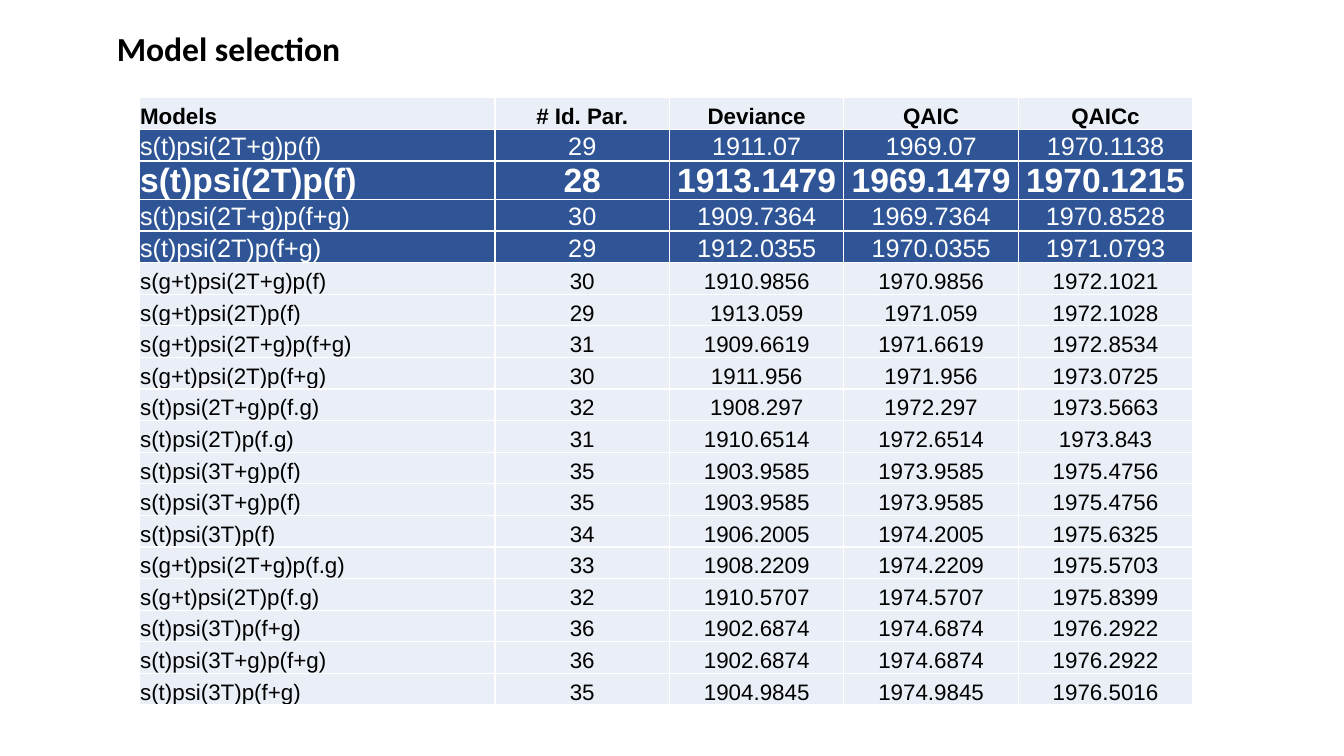
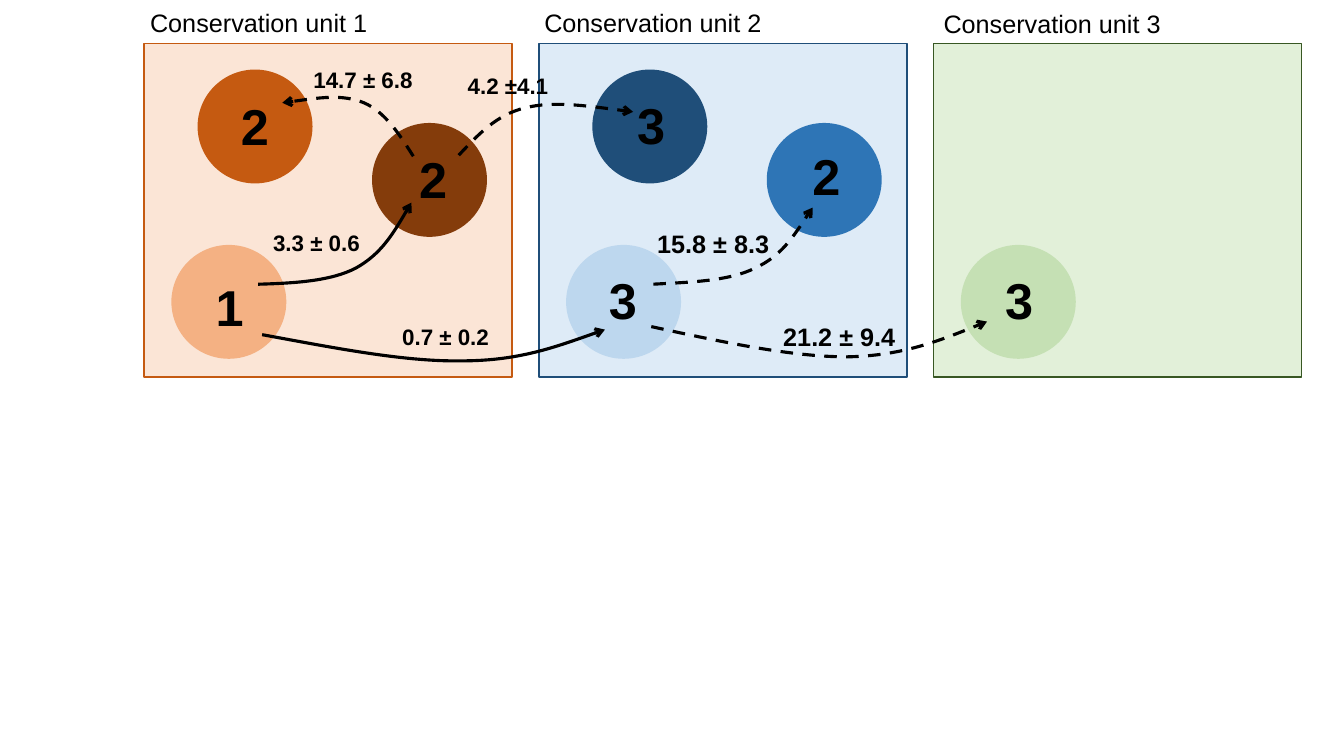
"""Build a model selection table and a diagram of movements between conservation units."""
from dataclasses import dataclass

from lxml import etree
from pptx import Presentation
from pptx.dml.color import RGBColor
from pptx.enum import dml, shapes, text
from pptx.oxml.ns import qn
from pptx.util import Inches, Pt

COLORS = {
    "black": "000000", "white": "FFFFFF", "pale": "EAEFF7", "best": "2F5597",
    "orange_bg": "FBE5D6", "orange_light": "F4B183", "orange": "C55A11", "orange_dark": "843C0B",
    "blue_bg": "DEEBF7", "blue_light": "BDD7EE", "blue": "2E75B6", "blue_dark": "1F4E79",
    "green_bg": "E2F0D9", "green_light": "C5E0B4", "green_dark": "385723",
}
BODY_FONT, TITLE_FONT = "Arial", "Calibri"
Point = tuple[float, float]


@dataclass(frozen=True)
class Label:
    text: str
    x: float
    y: float
    w: float
    h: float = 0.4
    size: int = 18
    bold: bool = True
    font: str = BODY_FONT


@dataclass(frozen=True)
class Unit:
    fill: str
    line: str
    sites: dict[str, str]
    title: Label


@dataclass(frozen=True)
class Movement:
    start: Point
    curves: tuple[Point, ...]
    label: Label
    dashed: bool = True


@dataclass(frozen=True)
class RowStyle:
    size: int = 16
    bold: bool = False
    color: str = "black"
    fill: str = "pale"


HEADER = ("Models", "# Id. Par.", "Deviance", "QAIC", "QAICc")
MODELS = [
    ("s(t)psi(2T+g)p(f)", "29", "1911.07", "1969.07", "1970.1138"),
    ("s(t)psi(2T)p(f)", "28", "1913.1479", "1969.1479", "1970.1215"),
    ("s(t)psi(2T+g)p(f+g)", "30", "1909.7364", "1969.7364", "1970.8528"),
    ("s(t)psi(2T)p(f+g)", "29", "1912.0355", "1970.0355", "1971.0793"),
    ("s(g+t)psi(2T+g)p(f)", "30", "1910.9856", "1970.9856", "1972.1021"),
    ("s(g+t)psi(2T)p(f)", "29", "1913.059", "1971.059", "1972.1028"),
    ("s(g+t)psi(2T+g)p(f+g)", "31", "1909.6619", "1971.6619", "1972.8534"),
    ("s(g+t)psi(2T)p(f+g)", "30", "1911.956", "1971.956", "1973.0725"),
    ("s(t)psi(2T+g)p(f.g)", "32", "1908.297", "1972.297", "1973.5663"),
    ("s(t)psi(2T)p(f.g)", "31", "1910.6514", "1972.6514", "1973.843"),
    ("s(t)psi(3T+g)p(f)", "35", "1903.9585", "1973.9585", "1975.4756"),
    ("s(t)psi(3T+g)p(f)", "35", "1903.9585", "1973.9585", "1975.4756"),
    ("s(t)psi(3T)p(f)", "34", "1906.2005", "1974.2005", "1975.6325"),
    ("s(g+t)psi(2T+g)p(f.g)", "33", "1908.2209", "1974.2209", "1975.5703"),
    ("s(g+t)psi(2T)p(f.g)", "32", "1910.5707", "1974.5707", "1975.8399"),
    ("s(t)psi(3T)p(f+g)", "36", "1902.6874", "1974.6874", "1976.2922"),
    ("s(t)psi(3T+g)p(f+g)", "36", "1902.6874", "1974.6874", "1976.2922"),
    ("s(t)psi(3T)p(f+g)", "35", "1904.9845", "1974.9845", "1976.5016"),
]
TOP_MODEL = RowStyle(18, False, "white", "best")
ROW_STYLES = {0: RowStyle(bold=True), 1: TOP_MODEL, 2: RowStyle(24, True, "white", "best"),
              3: TOP_MODEL, 4: TOP_MODEL}
COLUMN_WIDTHS = [3.53] + [1.73] * 4

UNIT_LEFT, UNIT_TOP, UNIT_W, UNIT_H = 1.43, 0.43, 3.65, 3.31
UNIT_PITCH = (9.26 - UNIT_LEFT) / 2
SITE_W, SITE_H = 1.14, 1.13
SITE_OFFSETS = {"low": (0.27, 2.0), "right": (2.26, 0.79), "top": (0.53, 0.26)}
UNITS = [
    Unit("orange_bg", "orange", {"low": "orange_light", "right": "orange_dark", "top": "orange"},
         Label("Conservation unit 1", 1.39, 0.02, 3.16, bold=False)),
    Unit("blue_bg", "blue_dark", {"low": "blue_light", "right": "blue", "top": "blue_dark"},
         Label("Conservation unit 2", 5.3, 0.02, 3.16, bold=False)),
    Unit("green_bg", "green_dark", {"low": "green_light"},
         Label("Conservation unit 3", 9.26, 0.03, 3.16, bold=False)),
]
MOVEMENTS = [
    Movement((2.56, 2.82), ((2.92, 2.81), (3.28, 2.79), (3.53, 2.66),
                            (3.78, 2.52), (3.93, 2.27), (4.08, 2.01)),
             Label("3.3 ± 0.6", 2.61, 2.22, 1.47, 0.37, 16), False),
    Movement((2.6, 3.32), ((3.31, 3.45), (4.01, 3.59), (4.58, 3.58),
                           (5.15, 3.58), (5.57, 3.42), (6, 3.27)),
             Label("0.7 ± 0.2", 3.89, 3.16, 1.62, 0.37, 16), False),
    Movement((6.48, 2.82), ((6.85, 2.8), (7.23, 2.79), (7.49, 2.66),
                            (7.75, 2.54), (7.9, 2.3), (8.06, 2.06)),
             Label("15.8 ± 8.3", 6.42, 2.22, 1.93)),
    Movement((4.1, 1.55), ((3.96, 1.33), (3.82, 1.11), (3.61, 1.02),
                           (3.39, 0.93), (3.1, 0.98), (2.8, 1.02)),
             Label("14.7 ± 6.8", 3.01, 0.61, 1.93, 0.37, 16)),
    Movement((6.46, 3.24), ((7.15, 3.39), (7.85, 3.54), (8.4, 3.54),
                            (8.95, 3.53), (9.37, 3.36), (9.79, 3.19)),
             Label("21.2 ± 9.4", 7.67, 3.14, 1.57)),
    Movement((4.55, 1.54), ((4.74, 1.34), (4.92, 1.14), (5.21, 1.07),
                            (5.49, 1), (5.89, 1.06), (6.28, 1.11)),
             Label("4.2 ±4.1", 4.54, 0.67, 2.06, 0.37, 16)),
]
SITE_NUMBERS = [
    Label(number, x, y, 0.44, 0.71, 36) for number, x, y in (
        ("1", 2.04, 2.69), ("2", 4.06, 1.42), ("2", 2.29, 0.89), ("3", 6.22, 0.88),
        ("3", 5.94, 2.62), ("3", 9.87, 2.62), ("2", 7.96, 1.39))
]


def rgb(name: str) -> RGBColor:
    """Return a named colour."""
    return RGBColor.from_string(COLORS[name])


def add_run(p, content: str, size: int, bold: bool, color: str = "black",
            font: str = BODY_FONT) -> None:
    """Append a formatted run to a paragraph."""
    r = p.add_run()
    r.text = content
    r.font.name, r.font.size, r.font.bold = font, Pt(size), bold
    r.font.color.rgb = rgb(color)


def add_label(s, label: Label) -> None:
    """Place a text box."""
    sp = s.shapes.add_textbox(*map(Inches, (label.x, label.y, label.w, label.h)))
    tf = sp.text_frame
    tf.word_wrap = True
    tf.auto_size = text.MSO_AUTO_SIZE.SHAPE_TO_FIT_TEXT
    add_run(tf.paragraphs[0], label.text, label.size, label.bold, font=label.font)


def add_filled(s, kind: shapes.MSO_SHAPE, x: float, y: float, w: float, h: float,
               fill: str, line: str | None = None) -> None:
    """Draw a filled preset shape, outlined when a line colour is given."""
    sp = s.shapes.add_shape(kind, *map(Inches, (x, y, w, h)))
    sp.shadow.inherit = False
    sp.fill.solid()
    sp.fill.fore_color.rgb = rgb(fill)
    if line:
        sp.line.color.rgb = rgb(line)
        sp.line.width = Pt(1)
    else:
        sp.line.fill.background()


def add_unit(s, index: int, unit: Unit) -> None:
    """Draw a unit's panel, its sites and its heading."""
    left = UNIT_LEFT + index * UNIT_PITCH
    add_filled(s, shapes.MSO_SHAPE.RECTANGLE, left, UNIT_TOP, UNIT_W, UNIT_H, unit.fill, unit.line)
    for position, fill in unit.sites.items():
        dx, dy = SITE_OFFSETS[position]
        add_filled(s, shapes.MSO_SHAPE.OVAL, left + dx, UNIT_TOP + dy, SITE_W, SITE_H, fill)
    add_label(s, unit.title)


def add_movement(s, movement: Movement) -> None:
    """Draw a curved arrow through cubic Bézier control points."""
    builder = s.shapes.build_freeform(*map(Inches, movement.start))
    builder.add_line_segments([(Inches(x), Inches(y)) for x, y in movement.curves], close=False)
    sp = builder.convert_to_shape()
    outline = sp._element.find(".//" + qn("a:path"))
    segments = outline.findall(qn("a:lnTo"))
    for i in range(0, len(segments), 3):
        curve = etree.SubElement(outline, qn("a:cubicBezTo"))
        for segment in segments[i:i + 3]:
            curve.append(segment[0])
            outline.remove(segment)
    sp.shadow.inherit = False
    sp.fill.background()
    sp.line.color.rgb = rgb("black")
    sp.line.width = Pt(2.25)
    if movement.dashed:
        sp.line.dash_style = dml.MSO_LINE.DASH
    etree.SubElement(sp.line._get_or_add_ln(), qn("a:tailEnd"), type="arrow")


def add_borders(cell) -> None:
    """Give a cell thin white borders."""
    tc_pr = cell._tc.get_or_add_tcPr()
    for side in ("a:lnL", "a:lnR", "a:lnT", "a:lnB"):
        ln = etree.SubElement(tc_pr, qn(side), w=str(Pt(1)))
        fill = etree.SubElement(ln, qn("a:solidFill"))
        etree.SubElement(fill, qn("a:srgbClr"), val=COLORS["white"])


def fill_cell(cell, content: str, style: RowStyle, centered: bool) -> None:
    """Write and format one table cell."""
    add_borders(cell)
    cell.fill.solid()
    cell.fill.fore_color.rgb = rgb(style.fill)
    cell.vertical_anchor = text.MSO_ANCHOR.BOTTOM
    cell.margin_left = cell.margin_right = cell.margin_top = Inches(0.01)
    cell.margin_bottom = 0
    p = cell.text_frame.paragraphs[0]
    p.alignment = text.PP_ALIGN.CENTER if centered else text.PP_ALIGN.LEFT
    add_run(p, content, style.size, style.bold, style.color)


def build_selection(s) -> None:
    """Fill the model selection slide."""
    rows = [HEADER, *MODELS]
    frame = s.shapes.add_table(len(rows), len(HEADER), Inches(1.38), Inches(0.97),
                               Inches(sum(COLUMN_WIDTHS)), Inches(5.96))
    table = frame.table
    table.first_row = table.horz_banding = False
    for column, width in zip(table.columns, COLUMN_WIDTHS):
        column.width = Inches(width)
    for i, row in enumerate(rows):
        for j, content in enumerate(row):
            fill_cell(table.cell(i, j), content, ROW_STYLES.get(i, RowStyle()), j > 0)
    add_label(s, Label("Model selection", 1.06, 0.23, 5.48, 0.5, 24, font=TITLE_FONT))


def build_movements(s) -> None:
    """Fill the conservation units slide."""
    for index, unit in enumerate(UNITS):
        add_unit(s, index, unit)
    for movement in MOVEMENTS:
        add_movement(s, movement)
        add_label(s, movement.label)
    for number in SITE_NUMBERS:
        add_label(s, number)


def main() -> None:
    """Create and save the presentation."""
    prs = Presentation()
    prs.slide_width, prs.slide_height = Inches(13.33), Inches(7.5)
    for build in (build_selection, build_movements):
        build(prs.slides.add_slide(prs.slide_layouts[6]))
    prs.save("out.pptx")


if __name__ == "__main__":
    main()
